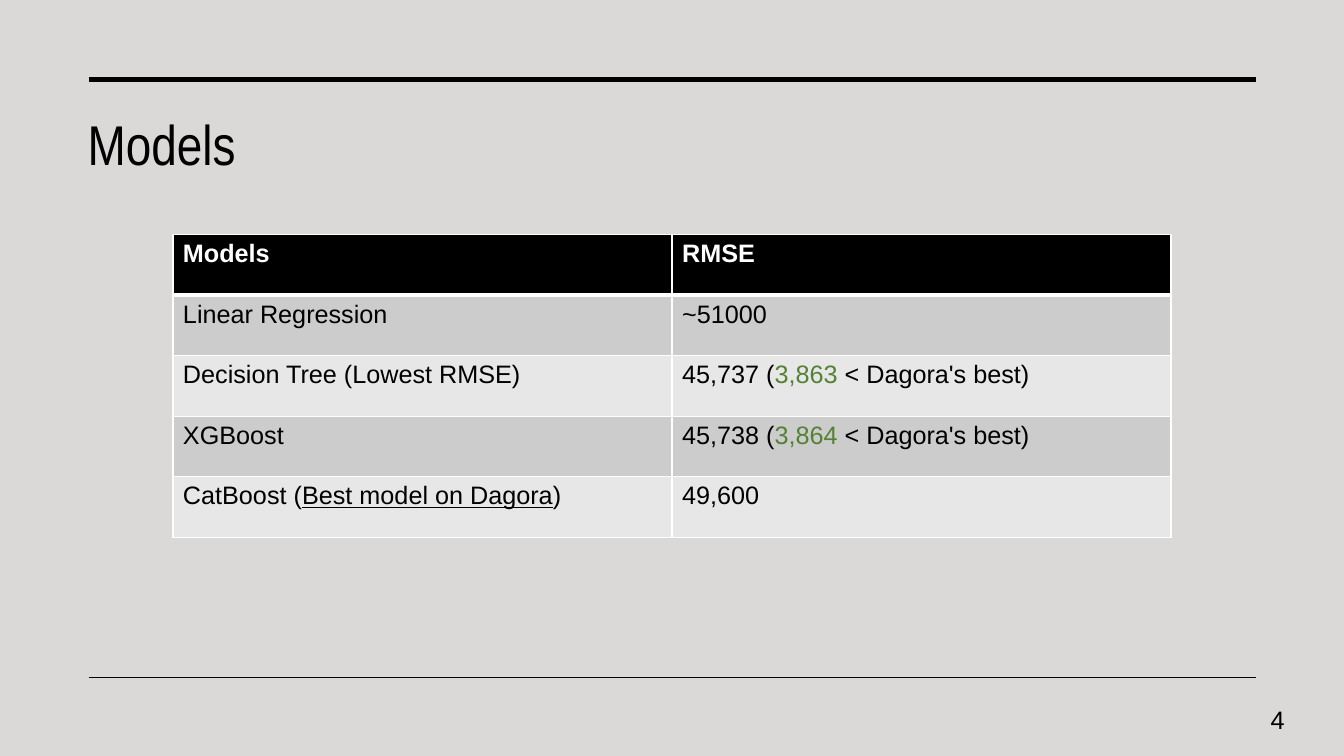
from dataclasses import dataclass

from lxml import etree
from pptx import Presentation
from pptx.dml.color import RGBColor
from pptx.enum.shapes import MSO_CONNECTOR
from pptx.enum.text import MSO_ANCHOR, PP_ALIGN
from pptx.oxml.ns import qn
from pptx.util import Inches, Pt

STRAIGHT = MSO_CONNECTOR.STRAIGHT
MIDDLE = MSO_ANCHOR.MIDDLE
LEFT, RIGHT = PP_ALIGN.LEFT, PP_ALIGN.RIGHT

TITLE = "Models"
PAGE_NUMBER = "4"
PLAIN, GAIN, UNDERLINED = "plain", "gain", "underlined"
MODEL_ROWS = [
    ([("Models", PLAIN)], [("RMSE", PLAIN)]),
    ([("Linear Regression", PLAIN)], [("~51000", PLAIN)]),
    ([("Decision Tree (Lowest RMSE)", PLAIN)],
     [("45,737 (", PLAIN), ("3,863", GAIN), (" < Dagora's best)", PLAIN)]),
    ([("XGBoost", PLAIN)],
     [("45,738 (", PLAIN), ("3,864", GAIN), (" < Dagora's best)", PLAIN)]),
    ([("CatBoost (", PLAIN), ("Best model on Dagora", UNDERLINED), (")", PLAIN)],
     [("49,600", PLAIN)]),
]


@dataclass(frozen=True)
class Theme:
    background: str = "DBD8D8"
    ink: str = "000000"
    paper: str = "FFFFFF"
    gain: str = "548235"
    bands: tuple = ("CCCCCC", "E7E7E7")
    title_font: str = "Arial Narrow"
    body_font: str = "Arial"
    title_size: float = 40
    body_size: float = 18
    grid_line: float = 1
    header_line: float = 3


THEME = Theme()
WIDTH, HEIGHT = 13.33, 7.5
RULE_LEFT, RULE_RIGHT = 0.88, 12.46
RULES = [(0.79, 3.5), (6.72, 1)]
TITLE_BOX = (0.77, 1.01, 11.69, 0.82)
NUMBER_BOX = (12.1, 6.94, 0.74, 0.4)
TABLE_TOP, COLUMN_WIDTH, ROW_HEIGHT = 2.33, 4.95, 0.6


def style_run(run, font, size, color, bold=False, underline=False):
    run.font.name = font
    run.font.size = Pt(size)
    run.font.color.rgb = RGBColor.from_string(color)
    run.font.bold = bold
    if underline:
        run.font.underline = True


def add_rule(slide, top, weight):
    rule = slide.shapes.add_connector(
        STRAIGHT, Inches(RULE_LEFT), Inches(top), Inches(RULE_RIGHT), Inches(top))
    rule.line.color.rgb = RGBColor.from_string(THEME.ink)
    rule.line.width = Pt(weight)
    etree.SubElement(rule._element.spPr, qn("a:effectLst"))


def add_label(slide, box, text, font, size, alignment):
    label = slide.shapes.add_textbox(*map(Inches, box))
    frame = label.text_frame
    frame.word_wrap = True
    frame.vertical_anchor = MIDDLE
    frame.text = text
    paragraph = frame.paragraphs[0]
    paragraph.alignment = alignment
    style_run(paragraph.runs[0], font, size, THEME.ink)


def set_borders(cell, top, bottom):
    properties = cell._tc.get_or_add_tcPr()
    sides = [("a:lnL", THEME.grid_line), ("a:lnR", THEME.grid_line),
             ("a:lnT", top), ("a:lnB", bottom)]
    for position, (side, weight) in enumerate(sides):
        border = etree.Element(qn(side), w=str(Pt(weight)))
        fill = etree.SubElement(border, qn("a:solidFill"))
        etree.SubElement(fill, qn("a:srgbClr"), val=THEME.paper)
        properties.insert(position, border)


def fill_cell(cell, pieces, row_index):
    header = row_index == 0
    fill = THEME.ink if header else THEME.bands[(row_index - 1) % 2]
    cell.fill.solid()
    cell.fill.fore_color.rgb = RGBColor.from_string(fill)
    paragraph = cell.text_frame.paragraphs[0]
    for text, kind in pieces:
        run = paragraph.add_run()
        run.text = text
        color = THEME.paper if header else THEME.gain if kind == GAIN else THEME.ink
        style_run(run, THEME.body_font, THEME.body_size, color, header, kind == UNDERLINED)
    set_borders(cell,
                THEME.header_line if row_index == 1 else THEME.grid_line,
                THEME.header_line if header else THEME.grid_line)


def add_model_table(slide):
    row_count, column_count = len(MODEL_ROWS), len(MODEL_ROWS[0])
    table_width = column_count * COLUMN_WIDTH
    table = slide.shapes.add_table(
        row_count, column_count, Inches((WIDTH - table_width) / 2), Inches(TABLE_TOP),
        Inches(table_width), Inches(row_count * ROW_HEIGHT)).table
    for row_index, row in enumerate(MODEL_ROWS):
        for column_index, pieces in enumerate(row):
            fill_cell(table.cell(row_index, column_index), pieces, row_index)


def main():
    presentation = Presentation()
    presentation.slide_width = Inches(WIDTH)
    presentation.slide_height = Inches(HEIGHT)
    slide = presentation.slides.add_slide(presentation.slide_layouts[6])
    slide.background.fill.solid()
    slide.background.fill.fore_color.rgb = RGBColor.from_string(THEME.background)
    for top, weight in RULES:
        add_rule(slide, top, weight)
    add_label(slide, TITLE_BOX, TITLE, THEME.title_font, THEME.title_size, LEFT)
    add_label(slide, NUMBER_BOX, PAGE_NUMBER, THEME.body_font, THEME.body_size, RIGHT)
    add_model_table(slide)
    presentation.save("out.pptx")


if __name__ == "__main__":
    main()
